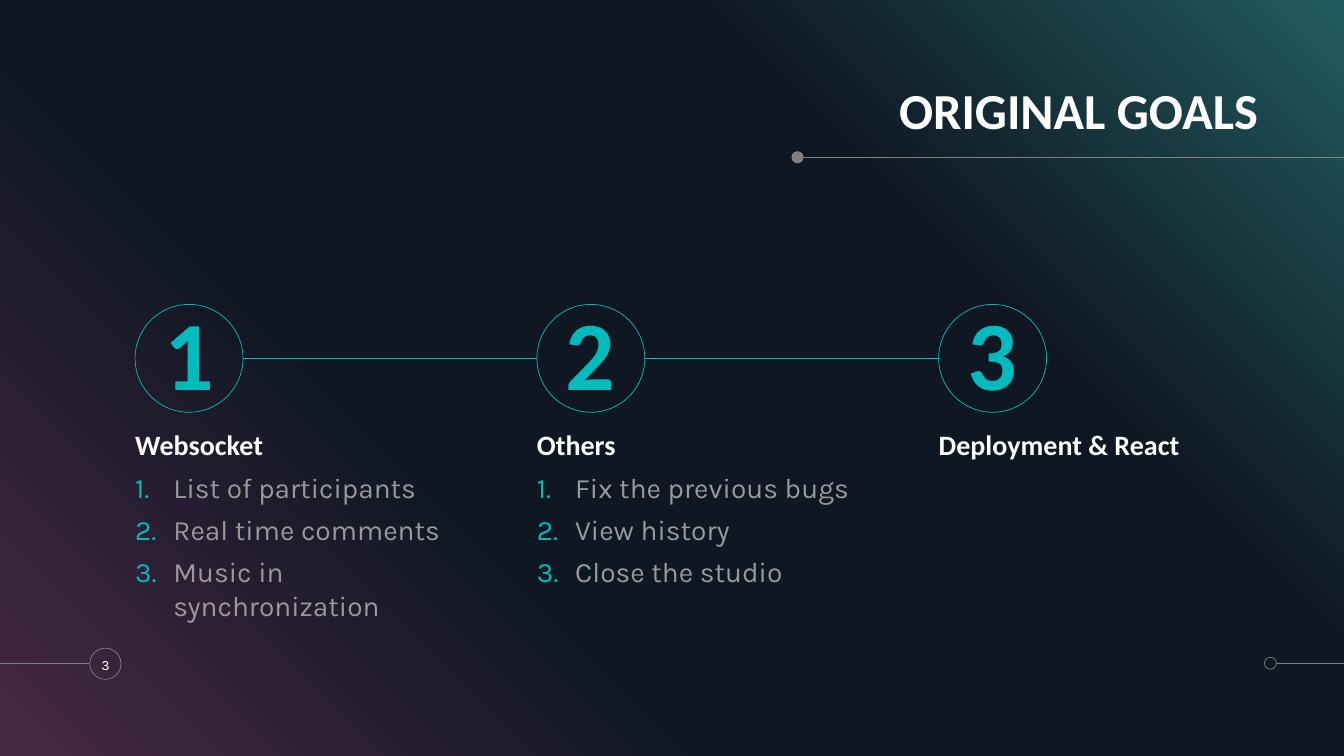
"""Build the slide of three numbered goals joined by a line."""
from lxml import etree
from pptx import Presentation
from pptx.dml.color import RGBColor
from pptx.enum.shapes import MSO_CONNECTOR, MSO_SHAPE
from pptx.enum.text import MSO_ANCHOR, PP_ALIGN
from pptx.oxml.ns import qn
from pptx.util import Inches, Pt

STRAIGHT = MSO_CONNECTOR.STRAIGHT
OVAL, RECTANGLE = MSO_SHAPE.OVAL, MSO_SHAPE.RECTANGLE
TOP, MIDDLE, BOTTOM = MSO_ANCHOR.TOP, MSO_ANCHOR.MIDDLE, MSO_ANCHOR.BOTTOM
LEFT, CENTER, RIGHT = PP_ALIGN.LEFT, PP_ALIGN.CENTER, PP_ALIGN.RIGHT

TITLE = "ORIGINAL GOALS"
PAGE_NUMBER = "3"
GOALS = [
    ("Websocket", ["List of participants", "Real time comments", "Music in synchronization"]),
    ("Others", ["Fix the previous bugs", "View history", "Close the studio"]),
    ("Deployment & React", []),
]

WIDTH, HEIGHT = 13.33, 7.5
HEADING_FONT, BODY_FONT = "Calibri", "Karla"
TEAL, WHITE, GREY, TEXT_GREY = "00BBBB", "FFFFFF", "808080", "999999"
BACKGROUND_STOPS = [(0, "482845"), (34, "0F1722"), (69, "0F1722"), (100, "225B5F")]
FIRST_LEFT, LAST_LEFT = 1.34, 9.31
PITCH = (LAST_LEFT - FIRST_LEFT) / (len(GOALS) - 1)
CIRCLE_TOP, CIRCLE_SIZE = 3.02, 1.07
CIRCLE_MIDDLE = CIRCLE_TOP + CIRCLE_SIZE / 2
COLUMN_WIDTH = 3.22
TITLE_LINE_Y, FOOTER_Y = 1.56, 6.58
INDENT = 0.38


def color(value):
    return RGBColor.from_string(value)


def add_line(start, end, y, line_color=GREY):
    line = slide.shapes.add_connector(STRAIGHT, Inches(start), Inches(y), Inches(end), Inches(y))
    line.line.color.rgb = color(line_color)
    line.line.width = Pt(0.5)
    etree.SubElement(line._element.spPr, qn("a:effectLst"))


def add_circle(left, top, size, line_color=None, fill_color=None):
    circle = slide.shapes.add_shape(OVAL, Inches(left), Inches(top), Inches(size), Inches(size))
    circle.shadow.inherit = False
    if fill_color:
        circle.fill.solid()
        circle.fill.fore_color.rgb = color(fill_color)
    else:
        circle.fill.background()
    if line_color:
        circle.line.color.rgb = color(line_color)
        circle.line.width = Pt(0.5)
    else:
        circle.line.fill.background()
    return circle


def add_text_box(left, top, width, height):
    return slide.shapes.add_textbox(Inches(left), Inches(top), Inches(width), Inches(height))


def write(shape, lines, size, font, text_color, bold=False, anchor=TOP, align=LEFT, spacing=1.0, before=0):
    frame = shape.text_frame
    frame.word_wrap = True
    frame.vertical_anchor = anchor
    frame.margin_left = frame.margin_right = frame.margin_top = frame.margin_bottom = 0
    frame.text = "\n".join(lines)
    for paragraph in frame.paragraphs:
        paragraph.alignment = align
        paragraph.line_spacing = spacing
        paragraph.space_before = Pt(before)
        for run in paragraph.runs:
            run.font.size = Pt(size)
            run.font.name = font
            run.font.bold = bold
            run.font.color.rgb = color(text_color)


def number_paragraphs(shape):
    for paragraph in shape.text_frame.paragraphs:
        properties = paragraph._p.get_or_add_pPr()
        properties.set("marL", str(Inches(INDENT)))
        properties.set("indent", str(-Inches(INDENT)))
        bullet_color = etree.SubElement(properties, qn("a:buClr"))
        etree.SubElement(bullet_color, qn("a:srgbClr"), val=TEAL)
        etree.SubElement(properties, qn("a:buFont"), typeface=BODY_FONT)
        etree.SubElement(properties, qn("a:buAutoNum"), type="arabicPeriod")


def add_background():
    background = slide.shapes.add_shape(RECTANGLE, 0, 0, presentation.slide_width, presentation.slide_height)
    background.shadow.inherit = False
    background.line.fill.background()
    background.fill.gradient()
    background.fill.gradient_angle = 45
    stops = background._element.spPr.find(".//" + qn("a:gsLst"))
    for stop in list(stops):
        stops.remove(stop)
    for percent, value in BACKGROUND_STOPS:
        stop = etree.SubElement(stops, qn("a:gs"), pos=str(percent * 1000))
        etree.SubElement(stop, qn("a:srgbClr"), val=value)


def add_goal(index, heading, items):
    left = FIRST_LEFT + index * PITCH
    circle = add_circle(left, CIRCLE_TOP, CIRCLE_SIZE, line_color=TEAL)
    write(circle, [str(index + 1)], 70, HEADING_FONT, TEAL, True, MIDDLE, CENTER, 0.9, 10)
    heading_box = add_text_box(left, 4.22, COLUMN_WIDTH, 0.36)
    write(heading_box, [heading], 20, HEADING_FONT, WHITE, True, BOTTOM, spacing=0.9, before=6)
    if items:
        item_box = add_text_box(left, 4.67, COLUMN_WIDTH, 1.55)
        write(item_box, items, 20, BODY_FONT, TEXT_GREY, before=6)
        number_paragraphs(item_box)


presentation = Presentation()
presentation.slide_width, presentation.slide_height = Inches(WIDTH), Inches(HEIGHT)
slide = presentation.slides.add_slide(presentation.slide_layouts[6])

add_background()
add_line(7.94, WIDTH, TITLE_LINE_Y)
add_circle(7.85, 1.5, 0.12, fill_color=GREY)
add_line(12.66, WIDTH, FOOTER_Y)
add_circle(12.54, 6.52, 0.12, line_color=GREY)
add_line(0, 0.88, FOOTER_Y)
add_circle(0.89, 6.43, 0.31, line_color=GREY)

title_box = add_text_box(5.58, 0.77, 6.9, 0.62)
write(title_box, [TITLE], 36, HEADING_FONT, WHITE, True, BOTTOM, RIGHT, 0.9)

for index in range(len(GOALS) - 1):
    circle_left = FIRST_LEFT + index * PITCH
    add_line(circle_left + CIRCLE_SIZE, circle_left + PITCH, CIRCLE_MIDDLE, TEAL)
for index, (heading, items) in enumerate(GOALS):
    add_goal(index, heading, items)

page_box = add_text_box(0.85, 6.43, 0.39, 0.33)
write(page_box, [PAGE_NUMBER], 10, BODY_FONT, WHITE, anchor=MIDDLE, align=CENTER)

presentation.save("out.pptx")
